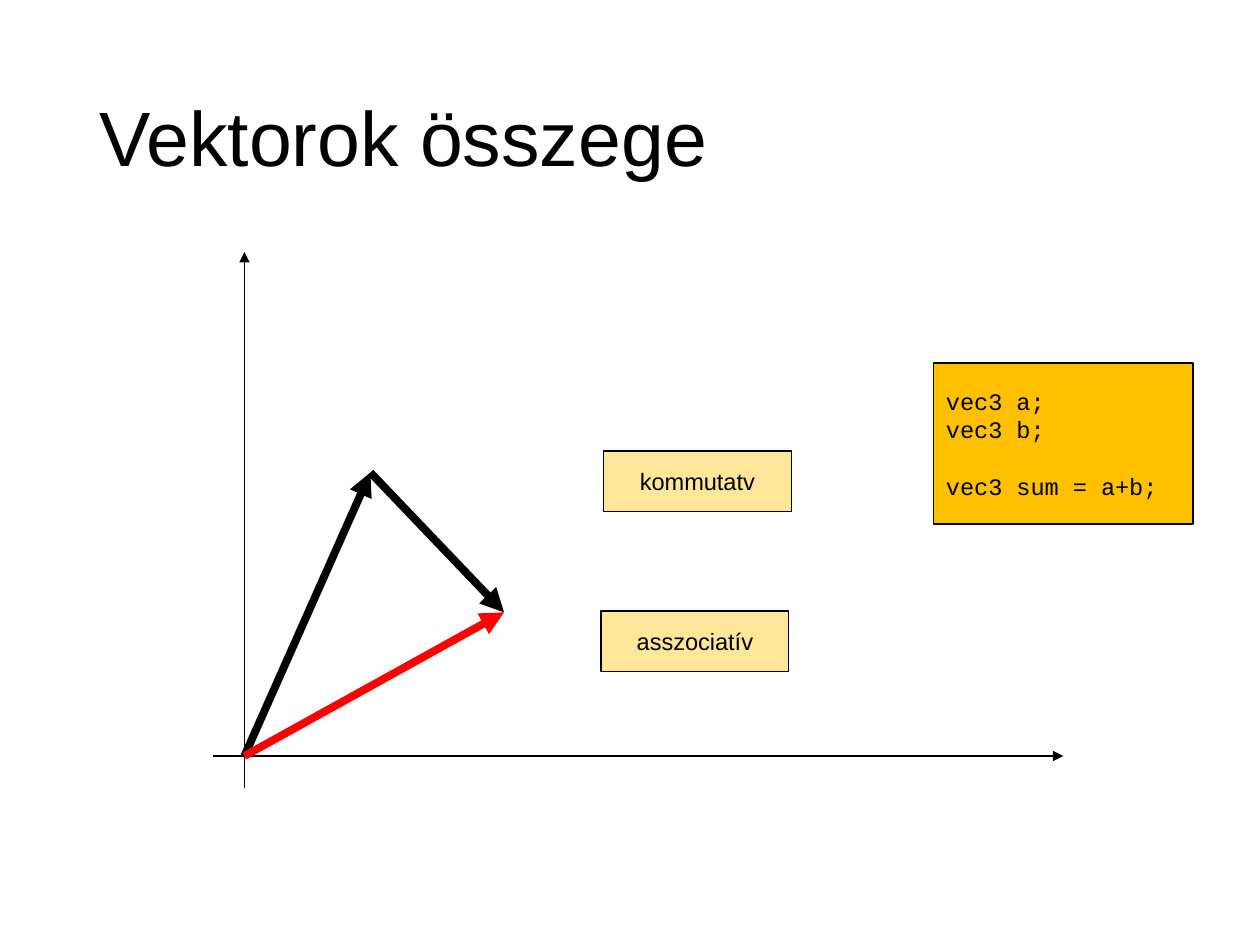
from lxml import etree
from pptx import Presentation
from pptx import util as u
from pptx.dml.color import RGBColor
from pptx.enum import shapes, text
from pptx.oxml.ns import qn

BLACK = "000000"
RED = "FF0000"
CREAM = "FFE699"
AMBER = "FFC000"


def color(value):
    return RGBColor.from_string(value)


def write(shape, content, size=13.5, font="Arial", align=text.PP_ALIGN.LEFT,
          line_spacing=1.0, wrap=False, gaps=None):
    frame = shape.text_frame
    frame.word_wrap = wrap
    frame.vertical_anchor = text.MSO_ANCHOR.MIDDLE
    for index, line in enumerate(content.split("\n")):
        paragraph = frame.paragraphs[0] if index == 0 else frame.add_paragraph()
        paragraph.alignment = align
        paragraph.line_spacing = line_spacing
        paragraph.space_before = u.Pt((gaps or {}).get(index, 0))
        run = paragraph.add_run()
        run.text = line
        run.font.size = u.Pt(size)
        run.font.name = font
        run.font.color.rgb = color(BLACK)


class SlideBuilder:
    thin = 0.75
    thick = 4.5

    def __init__(self, presentation):
        self.slide = presentation.slides.add_slide(presentation.slide_layouts[6])

    def title(self, content, *box):
        shape = self.slide.shapes.add_textbox(*map(u.Inches, box))
        write(shape, content, size=44, line_spacing=0.9, wrap=True)

    def box(self, content, *box, fill=CREAM, **style):
        shape = self.slide.shapes.add_shape(
            shapes.MSO_SHAPE.RECTANGLE, *map(u.Inches, box))
        shape.shadow.inherit = False
        shape.fill.solid()
        shape.fill.fore_color.rgb = color(fill)
        shape.line.color.rgb = color(BLACK)
        shape.line.width = u.Pt(self.thin)
        write(shape, content, **style)

    def arrow(self, start, end, width, stroke=BLACK):
        connector = self.slide.shapes.add_connector(
            shapes.MSO_CONNECTOR.STRAIGHT, *map(u.Inches, start + end))
        connector.line.color.rgb = color(stroke)
        connector.line.width = u.Pt(width)
        line = connector.line._get_or_add_ln()
        etree.SubElement(line, qn("a:tailEnd"), type="triangle")
        etree.SubElement(connector._element.spPr, qn("a:effectLst"))


def main():
    presentation = Presentation()
    presentation.slide_width = u.Inches(10)
    presentation.slide_height = u.Inches(7.5)
    builder = SlideBuilder(presentation)

    builder.title("Vektorok összege", 0.69, 0.4, 8.62, 1.45)

    origin, peak, total = (1.94, 6), (2.94, 3.75), (4, 4.86)
    builder.arrow((origin[0], 6.25), (origin[0], 2), builder.thin)
    builder.arrow((1.69, origin[1]), (8.44, origin[1]), builder.thin)
    builder.arrow(origin, peak, builder.thick)
    builder.arrow(peak, total, builder.thick)
    builder.arrow(origin, total, builder.thick, RED)

    for label, left, top in (("kommutatv", 4.79, 3.58), ("asszociatív", 4.77, 4.85)):
        builder.box(label, left, top, 1.49, 0.48, align=text.PP_ALIGN.CENTER)
    builder.box("vec3 a;\nvec3 b;\nvec3 sum = a+b;", 7.41, 2.88, 2.06, 1.28,
                fill=AMBER, font="Courier New", gaps={2: 16})

    presentation.save("out.pptx")


if __name__ == "__main__":
    main()
